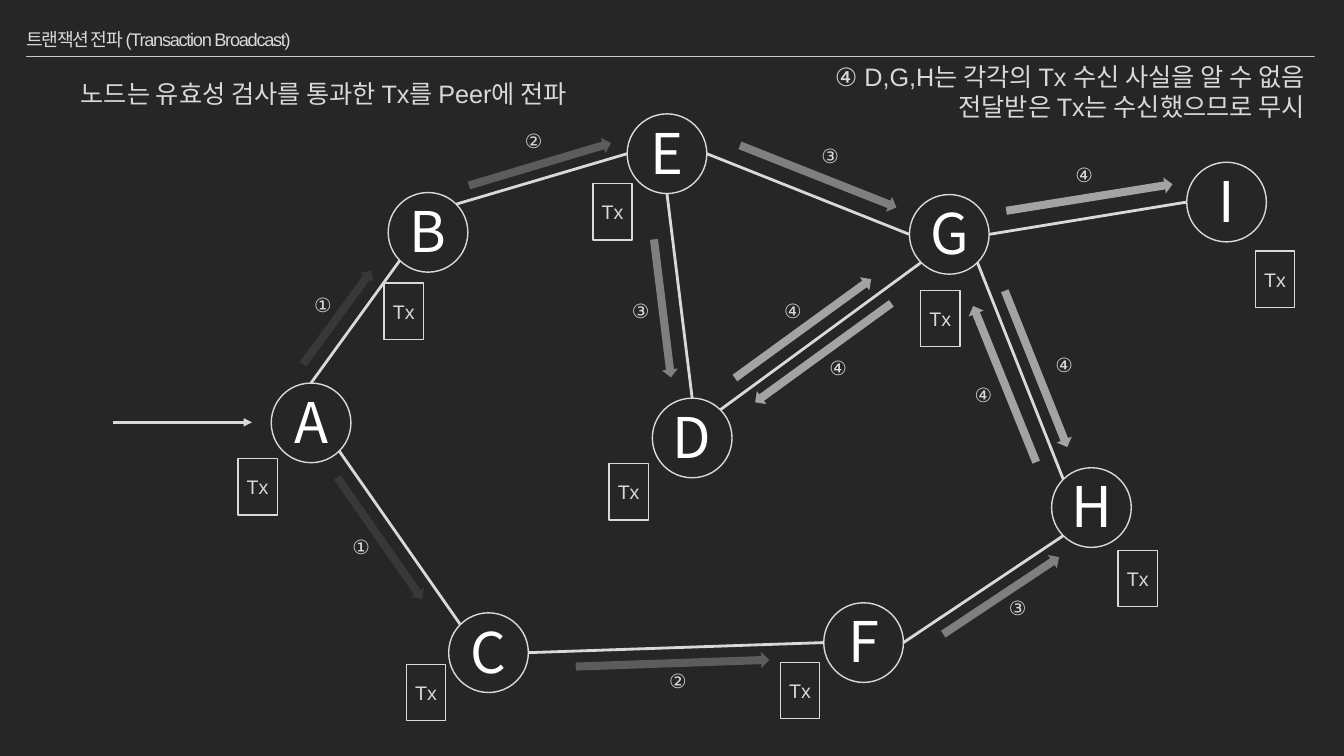
from dataclasses import dataclass
from math import cos, radians, sin

from pptx import Presentation
from pptx.dml.color import RGBColor
from pptx.enum.shapes import MSO_CONNECTOR as Link, MSO_SHAPE as Kind
from pptx.enum.text import MSO_ANCHOR as Anchor, MSO_AUTO_SIZE as Fit, PP_ALIGN as Align
from pptx.oxml.ns import qn
from pptx.util import Inches, Pt
from lxml.etree import SubElement

GREY = "D9D9D9"
HAN = "Noto Sans CJK KR"
DIAM = 0.79
# Connection sites of a circle, counted anticlockwise from the top
TOP, TL, LEFT, BL, BOT, BR, RIGHT, TR = range(8)


@dataclass
class Node:
    x: float
    y: float
    tag_x: float
    tag_y: float

    def site(self, num: int) -> tuple[float, float]:
        turn, rad = radians(90 + 45 * num), DIAM / 2
        return self.x + rad + rad * cos(turn), self.y + rad - rad * sin(turn)


@dataclass
class Hop:
    step: int
    x: float
    y: float
    size: float
    turn: float
    num_x: float
    num_y: float


NODES = {
    "A": Node(2.69, 3.8, 2.36, 4.55),
    "B": Node(3.85, 1.91, 3.81, 2.81),
    "C": Node(4.45, 6.08, 4.03, 6.59),
    "D": Node(6.47, 3.95, 6.04, 4.6),
    "E": Node(6.22, 1.13, 5.88, 1.82),
    "F": Node(8.17, 5.98, 7.74, 6.57),
    "G": Node(9.02, 1.93, 9.13, 2.88),
    "H": Node(10.43, 4.64, 11.09, 5.46),
    "I": Node(11.77, 1.61, 12.45, 2.49),
}
EDGES = [
    ("A", TOP, "B", BL), ("E", LEFT, "B", TR), ("E", BOT, "D", TOP),
    ("A", BR, "C", TL), ("C", RIGHT, "F", LEFT), ("F", RIGHT, "H", BL),
    ("D", TR, "G", BL), ("G", RIGHT, "I", LEFT), ("G", LEFT, "E", RIGHT),
    ("G", BR, "H", TL),
]
HOPS = [
    Hop(1, 2.77, 3.07, 1.15, 306.2, 2.99, 2.86),
    Hop(1, 3.03, 5.26, 1.47, 55.1, 3.37, 5.26),
    Hop(2, 4.62, 1.55, 1.47, 343.4, 5.08, 1.23),
    Hop(2, 5.71, 6.5, 1.92, 358, 6.51, 6.59),
    Hop(3, 5.88, 2.98, 1.38, 83, 6.14, 2.92),
    Hop(3, 7.28, 1.67, 1.67, 21.6, 8.02, 1.38),
    Hop(3, 9.24, 5.83, 1.38, 326.4, 9.88, 5.86),
    Hop(4, 7.13, 3.18, 1.67, 324, 7.65, 2.92),
    Hop(4, 9.97, 1.88, 1.67, 350.9, 10.54, 1.57),
    Hop(4, 7.33, 3.42, 1.67, 144, 8.1, 3.48),
    Hop(4, 9.44, 3.58, 1.67, 68.2, 10.34, 3.45),
    Hop(4, 9.13, 3.73, 1.67, 248, 9.54, 3.75),
]

deck = Presentation()
deck.slide_width, deck.slide_height = Inches(13.33), Inches(7.5)
slide = deck.slides.add_slide(deck.slide_layouts[6])
shapes = slide.shapes


def paint(hue: str) -> RGBColor:
    return RGBColor.from_string(hue)


def fade(shape, rate: int) -> None:
    for tint in shape.element.spPr.iter(qn("a:srgbClr")):
        SubElement(tint, qn("a:alpha"), val=str(rate * 1000))


def write(frame, text: str, *, size: float, font: str = "Arial", hue: str = GREY,
          align=Align.CENTER, inset=(0, 0, 0, 0), anchor=Anchor.MIDDLE,
          wrap: bool = True, track: int = 0, lead: float = 1) -> None:
    frame.word_wrap = wrap
    frame.auto_size = Fit.NONE if wrap else Fit.SHAPE_TO_FIT_TEXT
    frame.vertical_anchor = anchor
    (frame.margin_left, frame.margin_top,
     frame.margin_right, frame.margin_bottom) = map(Inches, inset)
    frame.text = text
    for para in frame.paragraphs:
        para.alignment, para.line_spacing = align, lead
        for run in para.runs:
            run.font.size, run.font.name = Pt(size), font
            run.font.color.rgb = paint(hue)
            props = run.font._element
            SubElement(props, qn("a:ea"), typeface=HAN)
            if track:
                props.set("spc", str(track))


def label(text: str, x: float, y: float, wide: float, high: float, **form) -> None:
    box = shapes.add_textbox(*map(Inches, (x, y, wide, high)))
    write(box.text_frame, text, **form)


def note(text: str, x: float, y: float, wide: float, high: float, size: float) -> None:
    label(text, x, y, wide, high, size=size, align=Align.RIGHT, wrap=False,
          inset=(0.1, 0.05, 0.1, 0.05), anchor=Anchor.TOP)


def form(kind, x: float, y: float, wide: float, high: float):
    shape = shapes.add_shape(kind, *map(Inches, (x, y, wide, high)))
    shape.shadow.inherit = False
    shape.fill.background()
    shape.line.color.rgb, shape.line.width = paint(GREY), Pt(1)
    return shape


def join(start: tuple, end: tuple, hue: str = GREY, width: float = 2,
         head: bool = False):
    line = shapes.add_connector(Link.STRAIGHT, *map(Inches, (*start, *end)))
    line.line.color.rgb, line.line.width = paint(hue), Pt(width)
    if head:
        SubElement(line.element.spPr.find(qn("a:ln")), qn("a:tailEnd"), type="triangle")
    SubElement(line.element.spPr, qn("a:effectLst"))
    return line


def draw_node(name: str, node: Node) -> None:
    disc = form(Kind.OVAL, node.x, node.y, DIAM, DIAM)
    write(disc.text_frame, name, size=40, font=HAN, hue="FFFFFF", inset=(0, 0, 0, 0.04))
    card = form(Kind.RECTANGLE, node.tag_x, node.tag_y, 0.39, 0.56)
    write(card.text_frame, "Tx", size=14)


def draw_hop(hop: Hop) -> None:
    arrow = form(Kind.RIGHT_ARROW, hop.x, hop.y, hop.size, 0.16)
    arrow.rotation = hop.turn
    arrow.line.fill.background()
    arrow.fill.solid()
    arrow.fill.fore_color.rgb = paint(GREY)
    fade(arrow, 20 * hop.step - 10)
    note("①②③④"[hop.step - 1], hop.num_x, hop.num_y, 0.4, 0.34, 14)


# Background and heading
slide.background.fill.solid()
slide.background.fill.fore_color.rgb = paint("262626")
fade(join((0.26, 0.56), (13.04, 0.56), "F2F2F2", 0.5), 80)
label("트랜잭션 전파 (Transaction Broadcast)", 0.26, 0.21, 12.81, 0.35, size=13,
      align=Align.LEFT, inset=(0, 0.05, 0, 0.05), track=-90, lead=1.05)

# Network
for name, node in NODES.items():
    draw_node(name, node)
for one, out, two, into in EDGES:
    join(NODES[one].site(out), NODES[two].site(into))
join((1.12, 4.19), (2.5, 4.19), head=True)

# Spread of the transaction
for hop in HOPS:
    draw_hop(hop)

# Remarks
note("노드는 유효성 검사를 통과한 Tx를 Peer에 전파", 0.25, 0.73, 5.47, 0.4, 18)
note("④ D,G,H는 각각의 Tx 수신 사실을 알 수 없음\n전달받은 Tx는 수신했으므로 무시",
     7.77, 0.56, 5.27, 0.71, 18)

deck.save("out.pptx")
